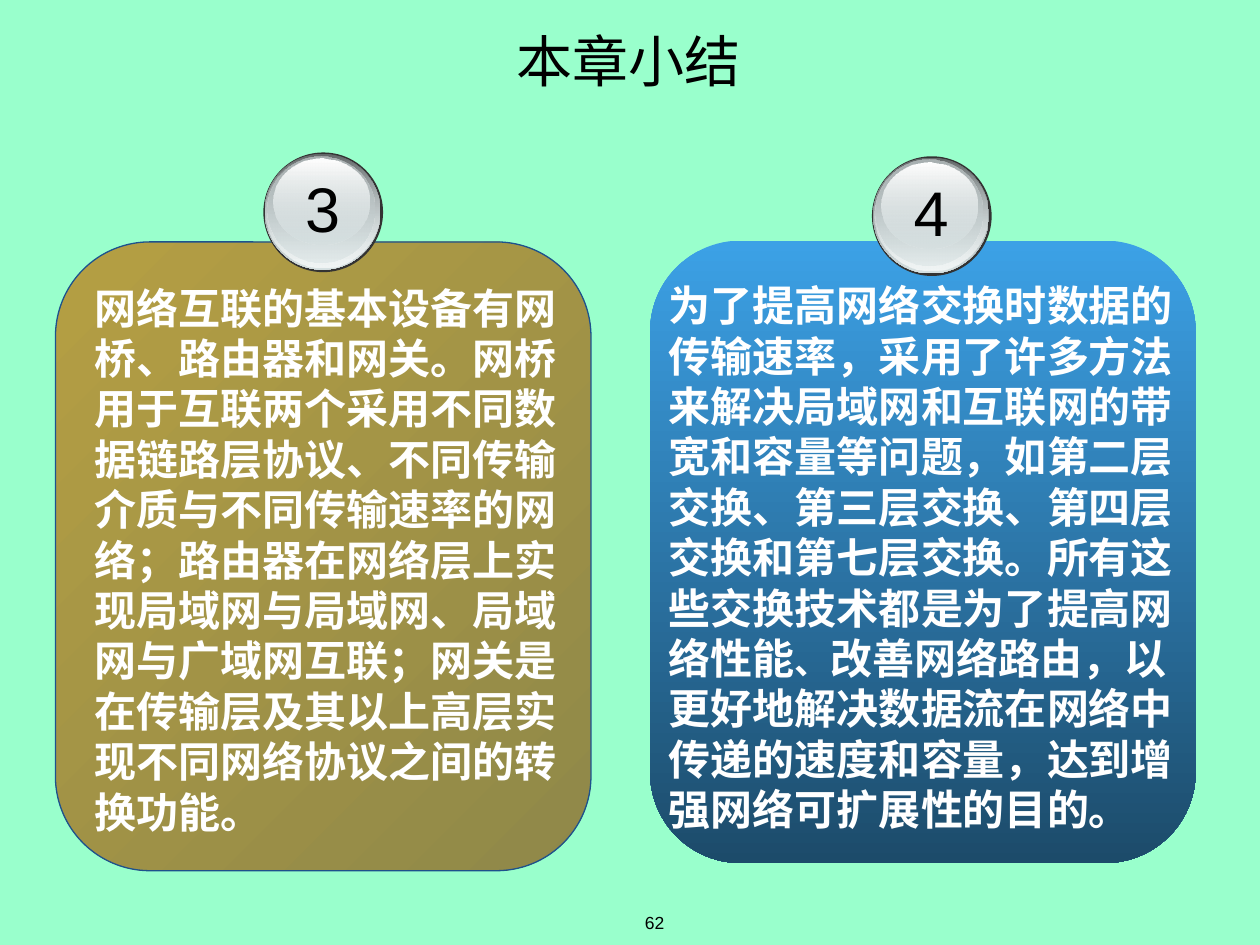
from lxml import etree
from pptx import Presentation
from pptx.dml.color import RGBColor
from pptx.enum.shapes import MSO_SHAPE
from pptx.enum.text import MSO_ANCHOR, PP_ALIGN
from pptx.oxml.ns import qn
from pptx.util import Inches, Pt

MINT = RGBColor(0x99, 0xFF, 0xCC)
BLACK = RGBColor(0x00, 0x00, 0x00)
WHITE = RGBColor(0xFF, 0xFF, 0xFF)
CHARCOAL = RGBColor(0x33, 0x33, 0x33)
DARK_GRAY = RGBColor(0x63, 0x68, 0x69)
MID_GRAY = RGBColor(0xAA, 0xB2, 0xB3)
SILVER = RGBColor(0xD6, 0xE1, 0xE2)
PALE = RGBColor(0xF1, 0xF5, 0xF5)
GOLD = RGBColor(0xB5, 0x9F, 0x43)
OLIVE = RGBColor(0x8F, 0x88, 0x49)
SKY = RGBColor(0x3C, 0xA1, 0xE6)
NAVY = RGBColor(0x1C, 0x4B, 0x6A)
OUTLINE = RGBColor(0x1D, 0x52, 0x8D)
CHINESE_FONT = "Noto Sans CJK SC"

presentation = Presentation()
presentation.slide_width = Inches(10)
presentation.slide_height = Inches(7.5)
slide = presentation.slides.add_slide(presentation.slide_layouts[6])
slide.background.fill.solid()
slide.background.fill.fore_color.rgb = MINT


def add_text(runs, box, color=BLACK, font="Arial", bold=False, align=PP_ALIGN.CENTER,
             anchor=MSO_ANCHOR.TOP, margins=(0.1, 0.05), wrap=True, line_spacing=None):
    """Add a one-paragraph text box; runs is a list of (text, size) pairs."""
    text_frame = slide.shapes.add_textbox(*map(Inches, box)).text_frame
    text_frame.word_wrap = wrap
    text_frame.vertical_anchor = anchor
    text_frame.margin_left = text_frame.margin_right = Inches(margins[0])
    text_frame.margin_top = text_frame.margin_bottom = Inches(margins[1])
    paragraph = text_frame.paragraphs[0]
    paragraph.alignment = align
    paragraph.line_spacing = line_spacing
    for text, size in runs:
        run = paragraph.add_run()
        run.text = text
        run.font.size = Pt(size)
        run.font.name = font
        run.font.bold = bold
        run.font.color.rgb = color
        east_asian = etree.SubElement(run.font._element, qn("a:ea"))
        east_asian.set("typeface", CHINESE_FONT)


def add_gradient_shape(kind, box, colors, angle=90, alphas=(100, 100)):
    """Add an unlined shape with a two-colour gradient, angle clockwise."""
    shape = slide.shapes.add_shape(kind, *map(Inches, box))
    shape.shadow.inherit = False
    shape.line.fill.background()
    shape.fill.gradient()
    shape.fill.gradient_angle = 360 - angle
    for stop, color, alpha, position in zip(shape.fill.gradient_stops, colors, alphas, (0, 1)):
        stop.color.rgb = color
        stop.position = position
        if alpha < 100:
            color_element = stop._gs.find(qn("a:srgbClr"))
            etree.SubElement(color_element, qn("a:alpha")).set("val", str(alpha * 1000))
    return shape


# Title and page number
add_text([("本章小结", 32)], (0, 0.17, 9.98, 0.62), font=CHINESE_FONT, anchor=MSO_ANCHOR.MIDDLE)
add_text([("62", 10)], (4.13, 7.14, 2.13, 0.36), anchor=MSO_ANCHOR.MIDDLE, wrap=False)

# Panels, each with its text and the top left corner of its number ball
panels = [
    {
        "number": "4", "box": (5.16, 1.91, 4.33, 4.94), "corner": 0.72,
        "colors": (SKY, NAVY), "angle": 90, "line": None, "ball": (6.92, 1.24),
        "text_box": (5.31, 2.22, 4.17, 4.4), "margins": (0, 0),
        "runs": [
            ("为了提高网络交换时数据的传输速率，采用了许多方法来解决局域网和互联网的带宽和容量等问题，"
             "如第二层交换、第三层交换、第四层交换和第七层交换。所有这些交换技术都是为了提高网络性能", 24),
            ("、", 20),
            ("改善网络路由，以更好地解决数据流在网络中传递的速度和容量，达到增强网络可扩展性的目的。", 24),
        ],
    },
    {
        "number": "3", "box": (0.44, 1.92, 4.25, 4.99), "corner": 0.75,
        "colors": (GOLD, OLIVE), "angle": 45, "line": OUTLINE, "ball": (2.09, 1.21),
        "text_box": (0.65, 2.19, 3.89, 4.5), "margins": (0.1, 0.05),
        "runs": [
            ("网络互联的基本设备有网桥、路由器和网关。网桥用于互联两个采用不同数据链路层协议、"
             "不同传输介质与不同传输速率的网络；路由器在网络层上实现局域网与局域网、局域网与广域网互联；"
             "网关是在传输层及其以上高层实现不同网络协议之间的转换功能。", 24),
        ],
    },
]

# Ball layers: offset from the ball corner, size, colours, opacities
ball_layers = [
    ((0.01, 0.01), (0.92, 0.92), (DARK_GRAY, SILVER), (100, 100)),
    ((0.02, 0.02), (0.9, 0.89), (SILVER, PALE), (0, 100)),
    ((0.03, 0.03), (0.85, 0.84), (MID_GRAY, SILVER), (100, 48)),
    ((0.08, 0.05), (0.76, 0.68), (WHITE, SILVER), (100, 38)),
]

for panel in panels:
    # Rounded panel and its text
    card = add_gradient_shape(MSO_SHAPE.ROUNDED_RECTANGLE, panel["box"],
                              panel["colors"], panel["angle"])
    card.adjustments[0] = panel["corner"] / panel["box"][2]
    if panel["line"] is not None:
        card.line.color.rgb = panel["line"]
        card.line.width = Pt(0.75)
    add_text(panel["runs"], panel["text_box"], color=WHITE, bold=True, align=PP_ALIGN.LEFT,
             margins=panel["margins"], line_spacing=Pt(28.8))

    # Glossy number ball
    left, top = panel["ball"]
    rim = slide.shapes.add_shape(MSO_SHAPE.OVAL, Inches(left), Inches(top),
                                 Inches(0.95), Inches(0.95))
    rim.shadow.inherit = False
    rim.fill.solid()
    rim.fill.fore_color.rgb = CHARCOAL
    rim.line.fill.background()
    for (shift_x, shift_y), size, colors, alphas in ball_layers:
        add_gradient_shape(MSO_SHAPE.OVAL, (left + shift_x, top + shift_y, *size),
                           colors, alphas=alphas)
    add_text([(panel["number"], 36)], (left, top + 0.09, 0.94, 0.7))

presentation.save("out.pptx")
